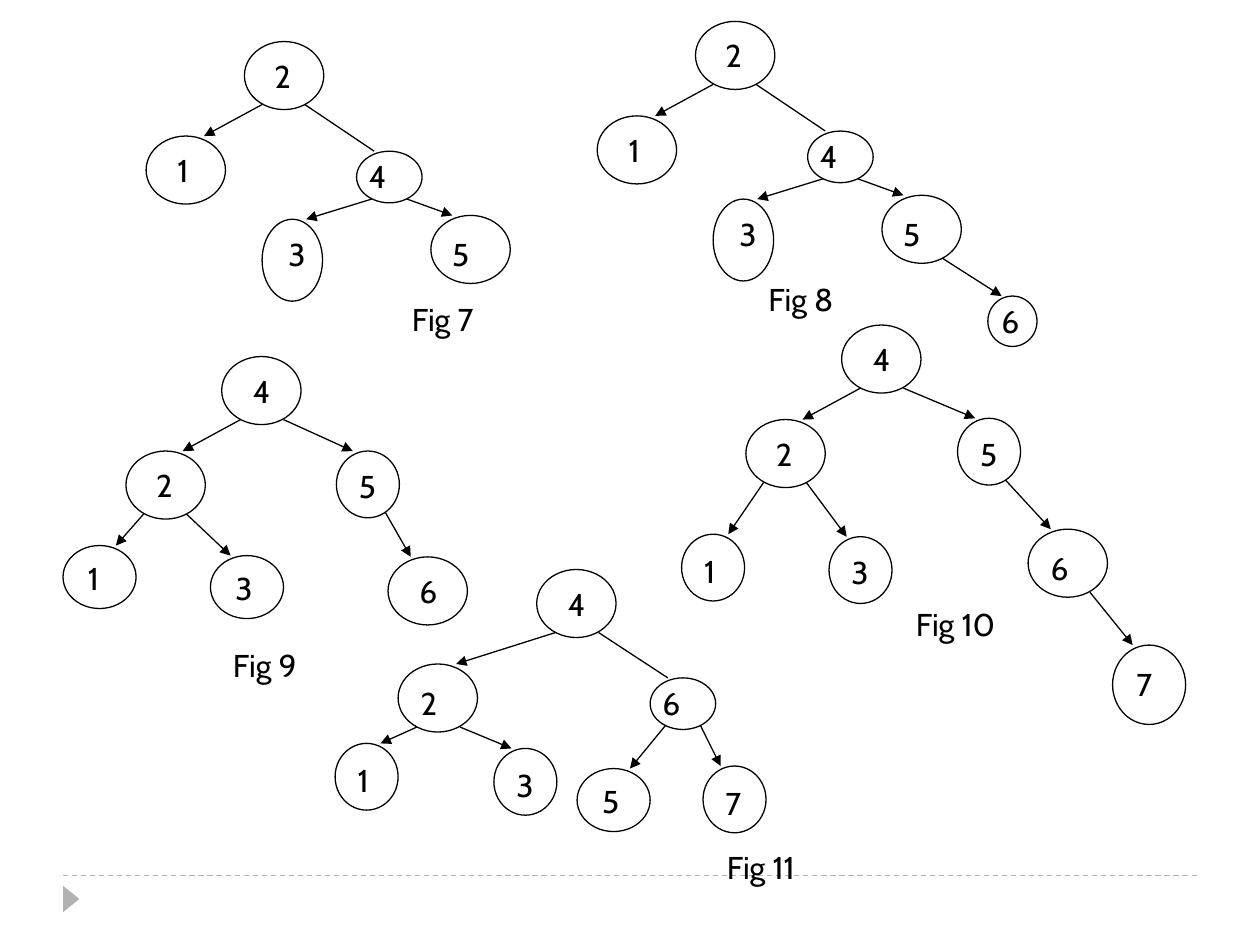
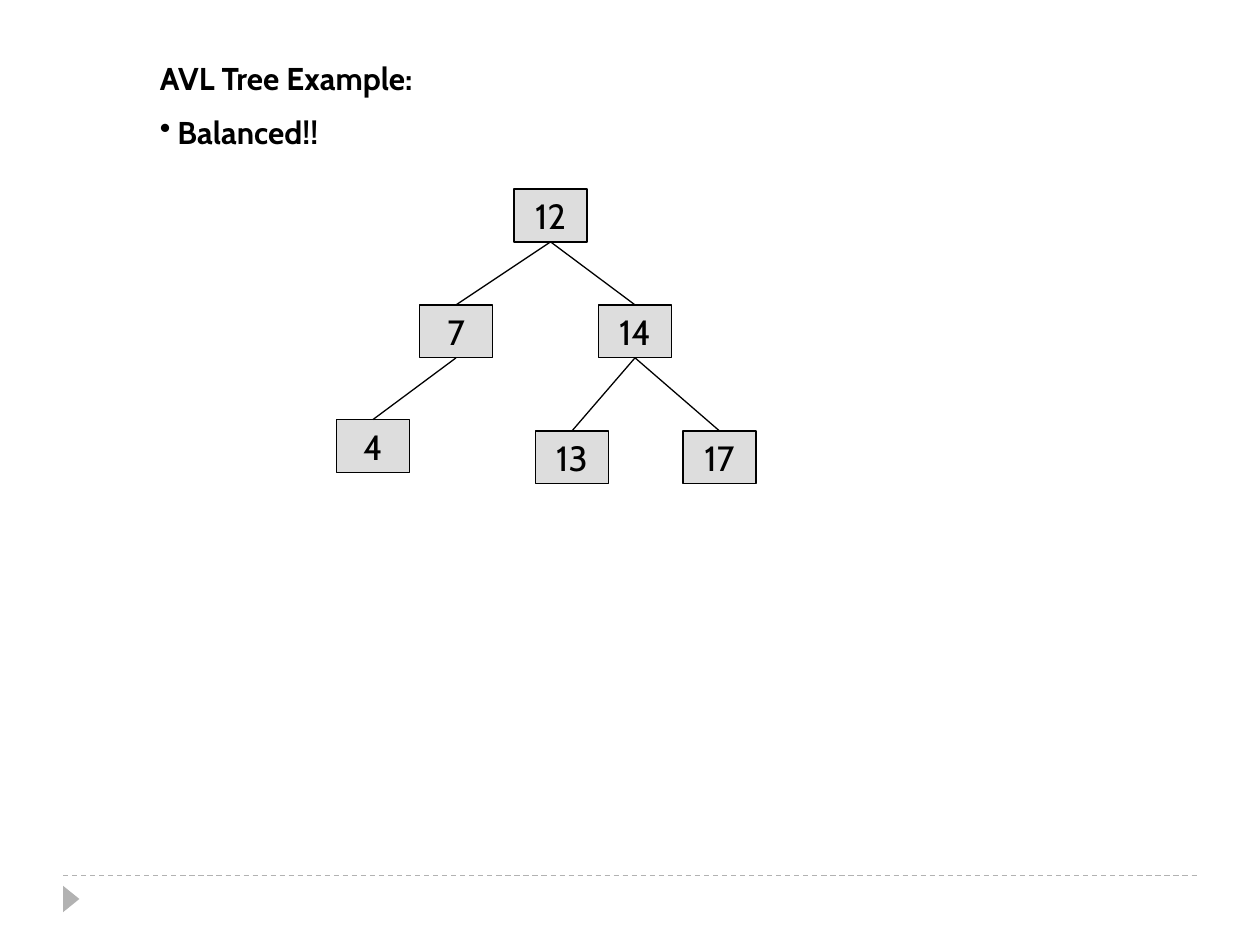
from pptx import Presentation
from pptx.dml.color import RGBColor
from pptx.enum.dml import MSO_LINE_DASH_STYLE as Dash
from pptx.enum.shapes import MSO_CONNECTOR as Link, MSO_SHAPE as Shape
from pptx.enum.text import MSO_ANCHOR as Anchor, MSO_AUTO_SIZE as Fit, PP_ALIGN as Align
from pptx.oxml.ns import qn
from pptx.util import Pt
from lxml.etree import SubElement

PX = 9144  # 100 px to the inch
COLORS = {"ink": "000000", "footer": "B2B2B2", "box": "DDDDDD"}
FONT = "Cabin"
LINE_WIDTH = Pt(0.75)
LABEL_WIDTH, LABEL_HEIGHT = 60, 40

deck = Presentation()
deck.slide_width, deck.slide_height = 1000 * PX, 750 * PX
pages = [deck.slides.add_slide(deck.slide_layouts[6]) for _ in range(2)]


def draw_box(shapes, kind, place, lines=(), fill=None, outline=None, **format_values):
    """Draw a preset shape, or a text box when kind is None, with its lines of text."""
    place = [round(value) * PX for value in place]
    if kind is None:
        box = shapes.add_textbox(*place)
        box.text_frame.word_wrap = True
        box.text_frame.auto_size = Fit.SHAPE_TO_FIT_TEXT
    else:
        box = shapes.add_shape(kind, *place)
        box.shadow.inherit = False
        for part, color in ((box.fill, fill), (box.line.fill, outline)):
            if color:
                part.solid()
                part.fore_color.rgb = RGBColor.from_string(COLORS[color])
            else:
                part.background()
        if outline:
            box.line.width = LINE_WIDTH
    for index, line in enumerate(lines):
        para = box.text_frame.paragraphs[0] if index == 0 else box.text_frame.add_paragraph()
        span = para.add_run()
        span.text = line
        span.font.color.rgb = RGBColor.from_string(COLORS["ink"])
        for name, value in {"name": FONT, "size": Pt(18), **format_values}.items():
            setattr(span.font, name, value)
    return box


def draw_line(shapes, ends, color="ink", arrow=False, dash=None):
    """Draw a straight line, with an arrowhead at its end if asked."""
    line = shapes.add_connector(Link.STRAIGHT, *[round(value) * PX for value in ends])
    line.line.color.rgb = RGBColor.from_string(COLORS[color])
    line.line.width = LINE_WIDTH
    if dash:
        line.line.dash_style = dash
    properties = line.element.spPr
    if arrow:
        SubElement(properties.find(qn("a:ln")), qn("a:tailEnd"), type="triangle")
    SubElement(properties, qn("a:effectLst"))
    return line


# Footer on every page
for page in pages:
    draw_line(page.shapes, (50, 695, 950, 695), "footer", dash=Dash.DASH)
    marker = draw_box(page.shapes, Shape.ISOSCELES_TRIANGLE, (46, 707, 21, 13), fill="footer")
    marker.rotation = 90

# Page 1: node kinds, as width, height and label offset from the centre
KINDS = {
    "main": (63, 54, -17, -20),
    "side": (63, 54, -24, -16),
    "flat": (52, 41, -26, -20),
    "tall": (48, 65, -13, -24),
    "slim": (50, 53, -17, -18),
    "wide": (58, 50, -19, -19),
    "tiny": (39, 40, -19, -20),
    "big": (58, 63, -20, -20),
}

# Page 1: insertion steps; node: key, parent, kind, centre
first_step = [
    ("2", None, "main", 225, 60), ("1", "2", "main", 148, 135),
    ("4", "2", "flat", 309, 140), ("5", "4", "side", 373, 198),
    ("3", "4", "tall", 232, 206),
]
second_step = [(*node, x + 358, y - 16) for *node, x, y in first_step]
second_step.append(("6", "5", "tiny", 804, 255))
trees = [
    ("Fig 7", 317, 233, first_step),
    ("Fig 8", 600, 217, second_step),
    ("Fig 9", 175, 508, [
        ("4", None, "main", 208, 310), ("2", "4", "main", 131, 385),
        ("5", "4", "slim", 292, 384), ("1", "2", "wide", 79, 458),
        ("3", "2", "wide", 196, 466), ("6", "5", "main", 340, 469)]),
    ("Fig 10", 717, 475, [
        ("4", None, "main", 700, 285), ("2", "4", "main", 623, 360),
        ("5", "4", "slim", 785, 358), ("1", "2", "slim", 566, 451),
        ("3", "2", "slim", 683, 452), ("6", "5", "side", 848, 447),
        ("7", "6", "big", 912, 543)]),
    ("Fig 11", 567, 668, [
        ("4", None, "main", 458, 479), ("2", "4", "side", 348, 554),
        ("6", "4", "flat", 542, 558), ("1", "2", "slim", 291, 617),
        ("3", "2", "slim", 417, 621), ("5", "6", "wide", 487, 635),
        ("7", "6", "slim", 583, 635)]),
]

for caption, left, top, nodes in trees:
    group = pages[0].shapes.add_group_shape().shapes
    places = {}
    for key, parent, kind, x, y in nodes:
        width, height, label_x, label_y = KINDS[kind]
        places[key] = x, y, width, height
        draw_box(group, Shape.OVAL, (x - width / 2, y - height / 2, width, height), outline="ink")
        draw_box(group, None, (x + label_x, y + label_y, LABEL_WIDTH, LABEL_HEIGHT), [key])
        if parent:
            # Leave the parent's lower edge and meet the child's top on the near side
            parent_x, parent_y, parent_width, parent_height = places[parent]
            side = 1 if x > parent_x else -1
            ends = (parent_x + side * parent_width * 0.27, parent_y + parent_height * 0.43,
                    x - side * width * 0.23, y - height / 2)
            draw_line(group, ends, arrow=kind != "flat")
    draw_box(group, None, (left, top, 125, LABEL_HEIGHT), [caption])

# Page 2: heading with a bullet
shapes = pages[1].shapes
heading = draw_box(shapes, None, (117, 42, 842, 85),
                   ["AVL Tree Example:", "Balanced!!"], bold=True)
bullet_para = heading.text_frame.paragraphs[1]
bullet_para.space_before = Pt(9)
bullet_format = bullet_para._p.get_or_add_pPr()
bullet_format.set("marL", str(14 * PX))
bullet_format.set("indent", str(-14 * PX))
SubElement(bullet_format, qn("a:buChar"), char="•")

# Page 2: balanced tree, each box joined to its parent
boxes = {}
for key, parent, left, top in [
        ("12", None, 408, 150), ("7", "12", 333, 242), ("14", "12", 475, 242),
        ("4", "7", 267, 333), ("13", "14", 425, 342), ("17", "14", 542, 342)]:
    box = draw_box(shapes, Shape.RECTANGLE, (left, top, 58, 42), [key],
                   fill="box", outline="ink", size=Pt(20))
    box.text_frame.word_wrap = False
    box.text_frame.vertical_anchor = Anchor.MIDDLE
    box.text_frame.paragraphs[0].alignment = Align.CENTER
    boxes[key] = box
    if parent:
        branch = draw_line(shapes, (0, 0, 0, 0))
        branch.begin_connect(boxes[parent], 2)
        branch.end_connect(box, 0)

deck.save("out.pptx")
